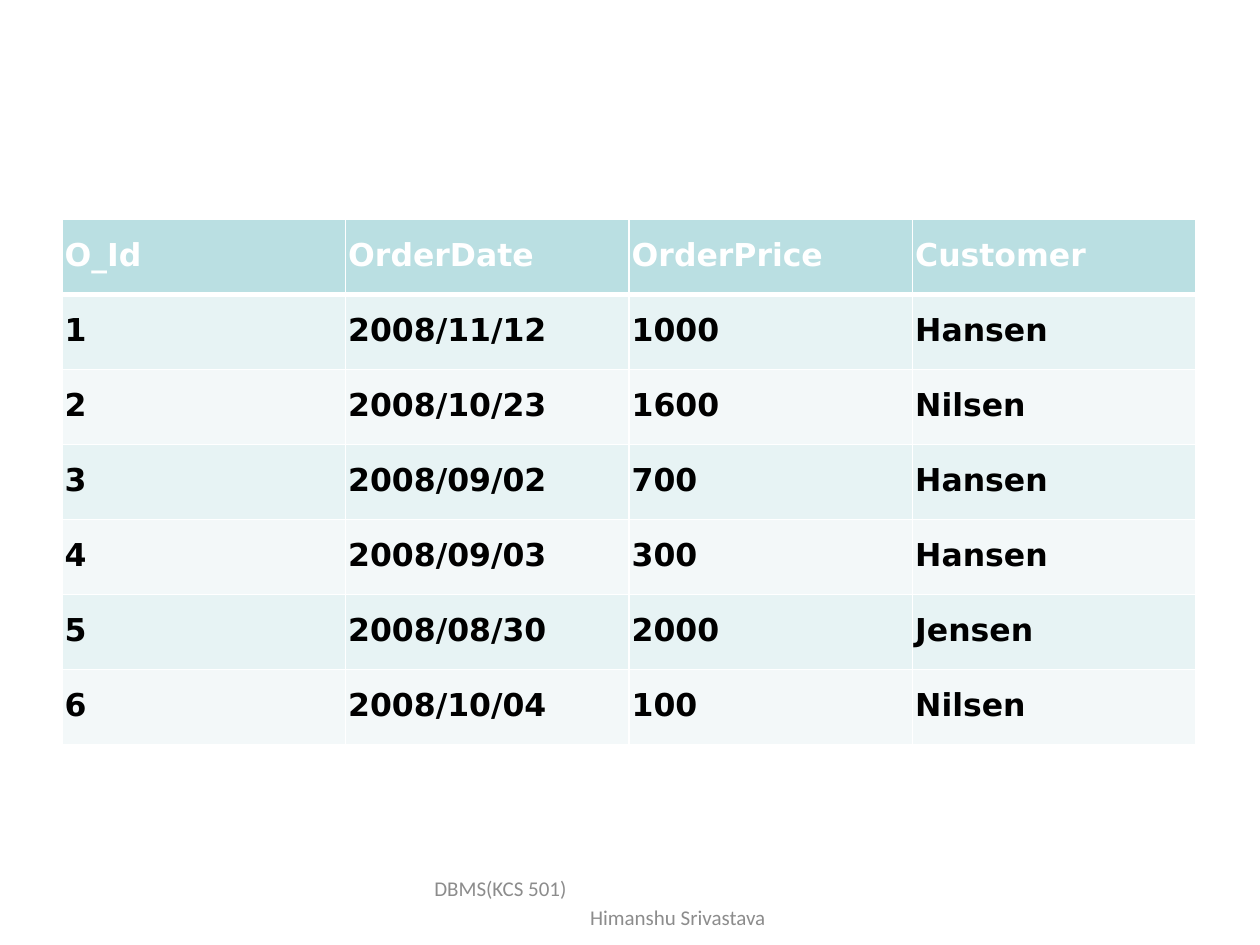
from lxml import etree
from pptx import Presentation
from pptx.dml.color import RGBColor
from pptx.enum import text
from pptx.oxml import ns
from pptx.util import Pt

WHITE = RGBColor(0xFF, 0xFF, 0xFF)
BLACK = RGBColor(0, 0, 0)
GREY = RGBColor(0x8C, 0x8C, 0x8C)
HEADER_FILL = RGBColor(0xBA, 0xDF, 0xE2)
BAND_FILLS = (RGBColor(0xF3, 0xF8, 0xF9), RGBColor(0xE7, 0xF3, 0xF4))

ORDERS = (
    ("O_Id", "OrderDate", "OrderPrice", "Customer"),
    ("1", "2008/11/12", "1000", "Hansen"),
    ("2", "2008/10/23", "1600", "Nilsen"),
    ("3", "2008/09/02", "700", "Hansen"),
    ("4", "2008/09/03", "300", "Hansen"),
    ("5", "2008/08/30", "2000", "Jensen"),
    ("6", "2008/10/04", "100", "Nilsen"),
)
COLUMN_WIDTH = 162
ROW_HEIGHT = 42.9
FOOTER_LINES = (("DBMS(KCS 501)", 2), ("Himanshu Srivastava", 91))


def format_font(font, name, size, color, bold=False):
    """Set the typeface, size, colour and weight of a font."""
    font.name = name
    font.size = Pt(size)
    font.color.rgb = color
    font.bold = bold


def indent(para, left):
    """Set the left indent of a paragraph in points."""
    properties = para._p.get_or_add_pPr()
    properties.set("marL", str(Pt(left)))
    properties.set("indent", "0")


def set_borders(cell, widths):
    """Draw white cell borders; widths maps each side to points."""
    properties = cell._tc.get_or_add_tcPr()
    for position, (side, width) in enumerate(widths.items()):
        line = etree.Element(ns.qn(f"a:ln{side}"), w=str(Pt(width)))
        fill = etree.SubElement(line, ns.qn("a:solidFill"))
        etree.SubElement(fill, ns.qn("a:srgbClr"), val=str(WHITE))
        properties.insert(position, line)


def fill_cell(cell, content, row):
    """Write one table cell in the style of its row."""
    is_header = row == 0
    cell.margin_left = cell.margin_right = cell.margin_bottom = Pt(0)
    cell.margin_top = Pt(10.2)
    cell.fill.solid()
    cell.fill.fore_color.rgb = HEADER_FILL if is_header else BAND_FILLS[row % 2]
    cell.text_frame.text = content
    para = cell.text_frame.paragraphs[0]
    indent(para, 1.5)
    color = WHITE if is_header else BLACK
    format_font(para.runs[0].font, "DejaVu Sans", 18, color, bold=True)
    top, bottom = 3 if row == 1 else 1, 3 if is_header else 1
    set_borders(cell, {"L": 1, "R": 1, "T": top, "B": bottom})


def add_order_table(page):
    """Add the table of orders."""
    rows, columns = len(ORDERS), len(ORDERS[0])
    table = page.shapes.add_table(
        rows, columns, Pt(35.5), Pt(125.3),
        Pt(columns * COLUMN_WIDTH), Pt(rows * ROW_HEIGHT)).table
    for column in table.columns:
        column.width = Pt(COLUMN_WIDTH)
    for row, record in enumerate(ORDERS):
        table.rows[row].height = Pt(ROW_HEIGHT)
        for column, content in enumerate(record):
            fill_cell(table.cell(row, column), content, row)


def add_footer(page):
    """Add the course and author lines at the foot of the page."""
    box = page.shapes.add_textbox(Pt(246.2), Pt(500.4), Pt(228.2), Pt(28.8))
    frame = box.text_frame
    frame.word_wrap = True
    frame.vertical_anchor = text.MSO_ANCHOR.MIDDLE
    frame.margin_left = frame.margin_right = Pt(0)
    frame.margin_top = frame.margin_bottom = Pt(0)
    frame.text = "\n".join(content for content, _ in FOOTER_LINES)
    for para, (_, left) in zip(frame.paragraphs, FOOTER_LINES):
        indent(para, left)
        para.line_spacing = Pt(16.5)
        format_font(para.runs[0].font, "Calibri", 12, GREY)


def main():
    """Build and save the slide."""
    deck = Presentation()
    deck.slide_width, deck.slide_height = Pt(720), Pt(540)
    page = deck.slides.add_slide(deck.slide_layouts[6])
    add_order_table(page)
    add_footer(page)
    deck.save("out.pptx")


main()
